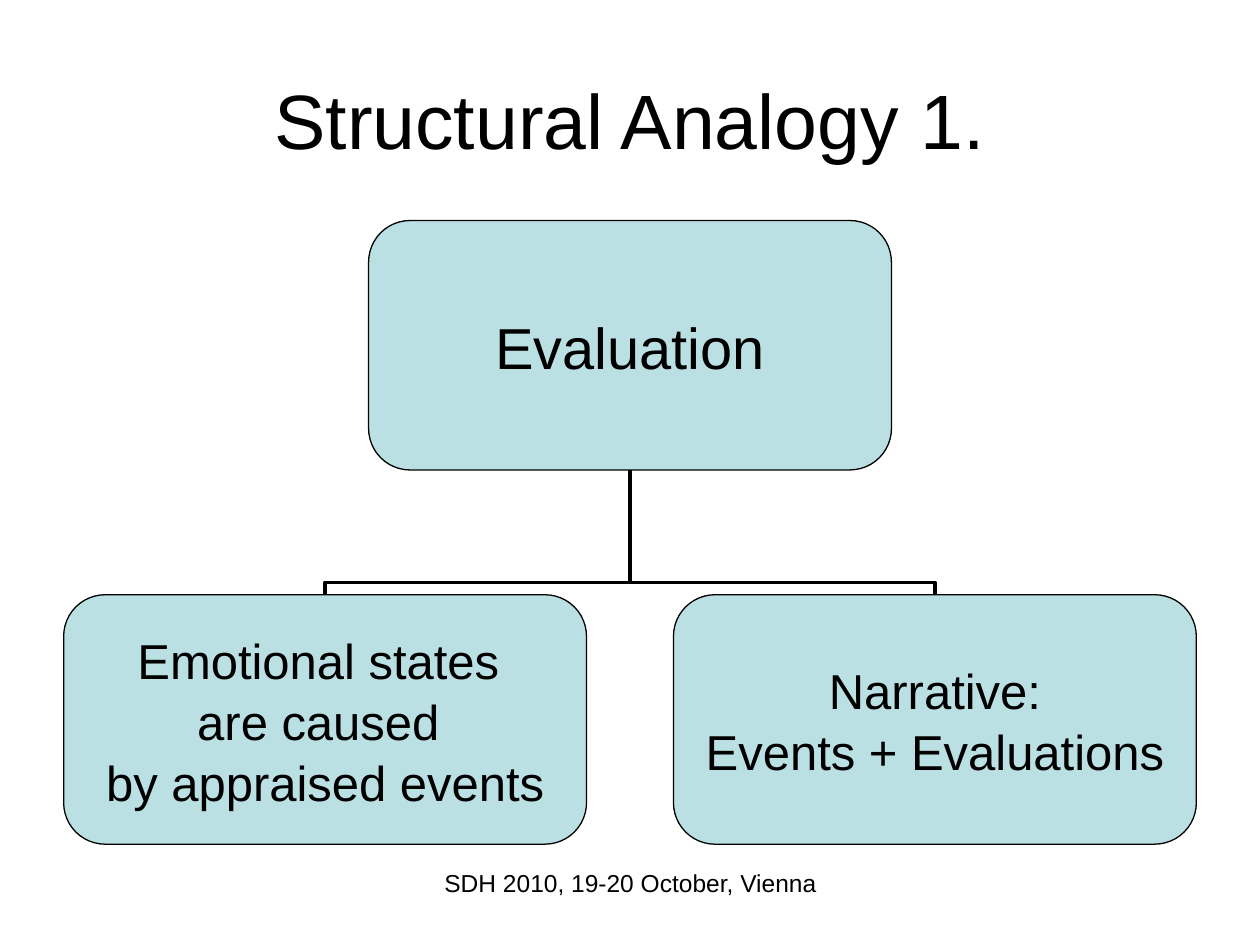
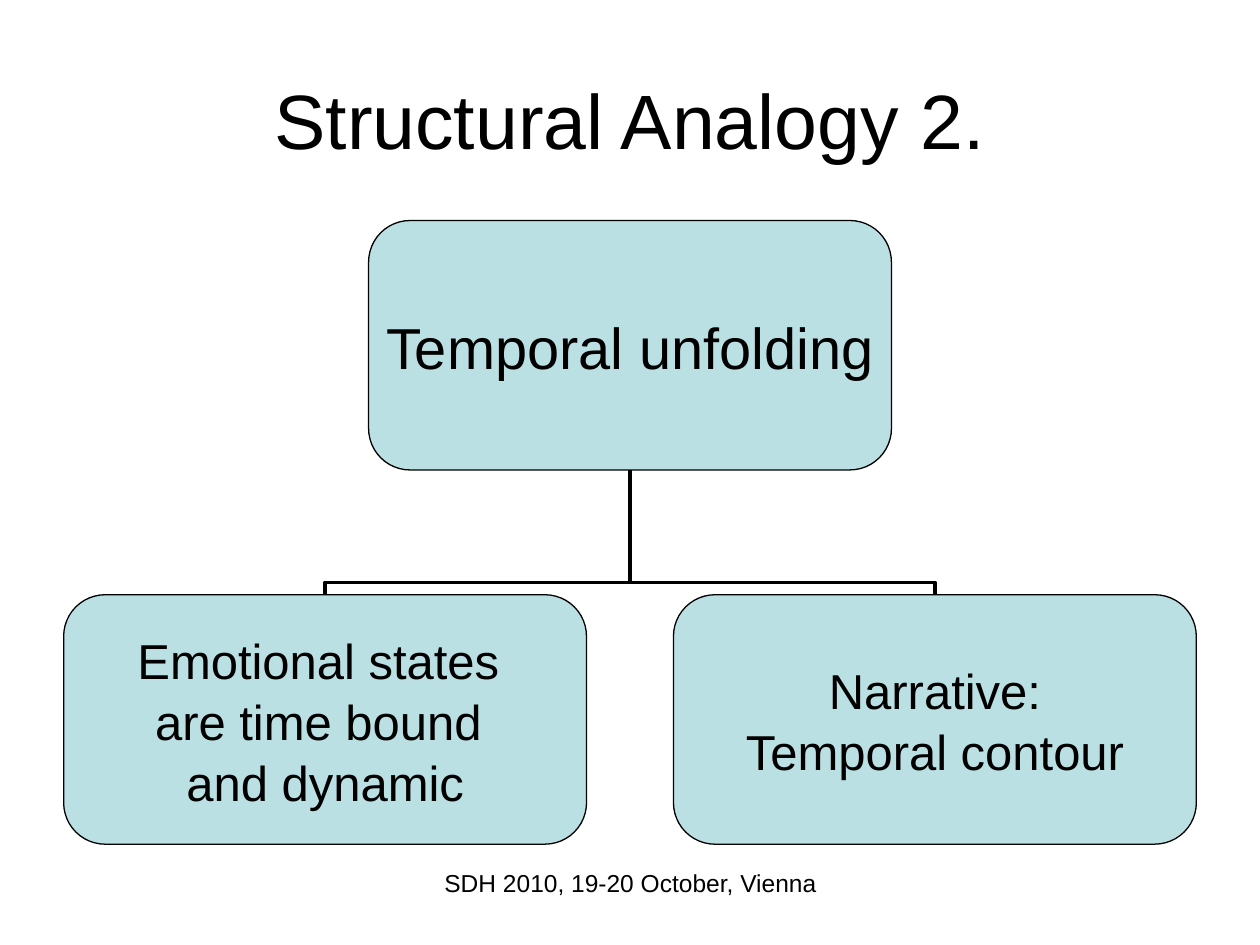
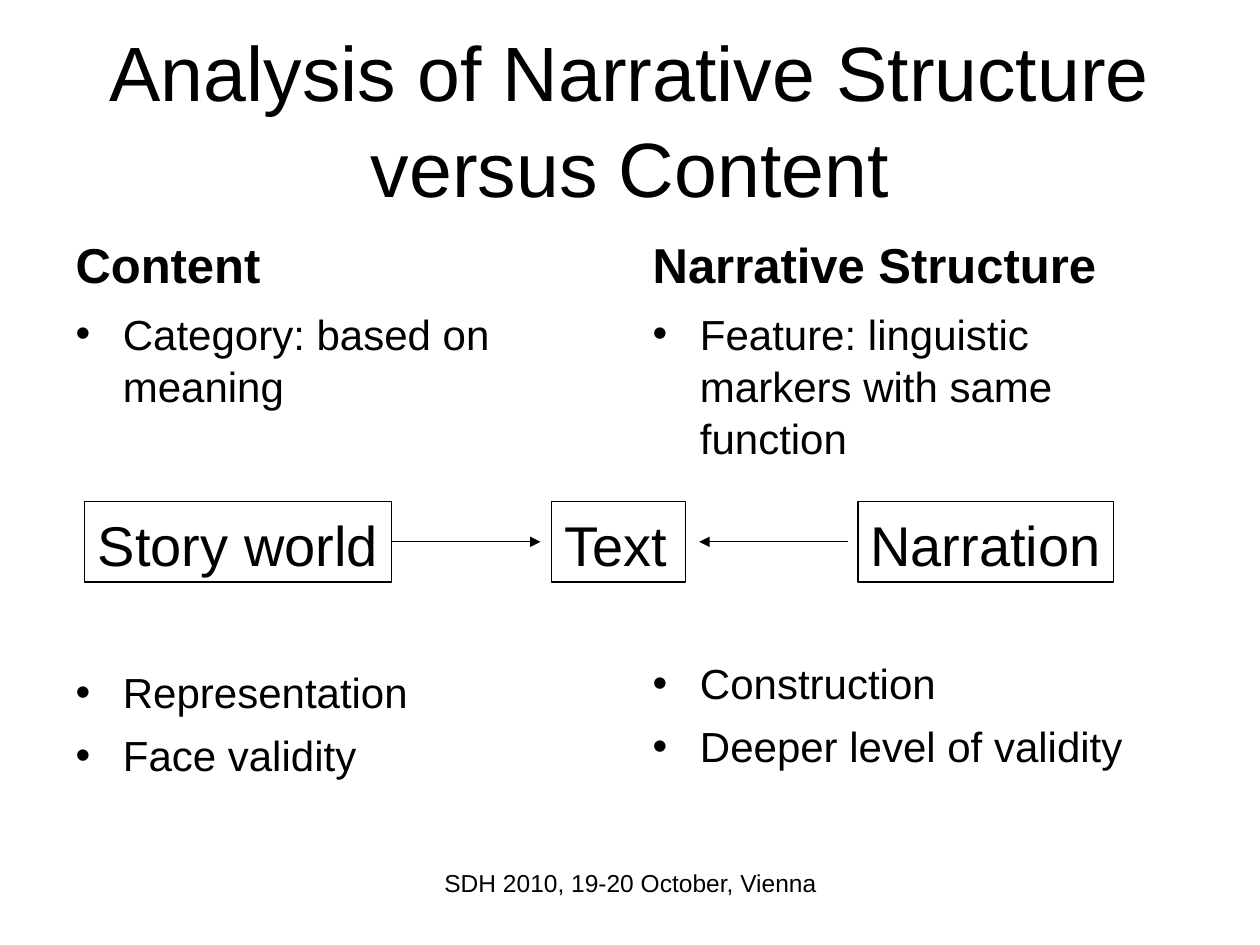
from dataclasses import dataclass
from lxml import etree
from pptx import Presentation
from pptx.dml.color import RGBColor
from pptx.enum.shapes import MSO_CONNECTOR, MSO_SHAPE
from pptx.enum.text import MSO_ANCHOR, MSO_AUTO_SIZE, PP_ALIGN
from pptx.oxml.ns import qn
from pptx.util import Inches, Pt

LEFT, MID = PP_ALIGN.LEFT, PP_ALIGN.CENTER
TOP, HALF, LOW = MSO_ANCHOR.TOP, MSO_ANCHOR.MIDDLE, MSO_ANCHOR.BOTTOM
ROUND, RECT = MSO_SHAPE.ROUNDED_RECTANGLE, MSO_SHAPE.RECTANGLE
ELBOW, LINE = MSO_CONNECTOR.ELBOW, MSO_CONNECTOR.STRAIGHT


@dataclass
class Theme:
    font: str = "Arial"
    ink: RGBColor = RGBColor(0x00, 0x00, 0x00)
    fill: RGBColor = RGBColor(0xBB, 0xE0, 0xE3)
    title: int = 44
    root: int = 33
    box: int = 32
    head: int = 28
    body: int = 24
    foot: int = 14
    lead: float = 1.04
    thin: float = 0.75
    thick: float = 2.25


theme = Theme()


def write(shape, text, size, place=None, bold=False, align=LEFT, anchor=TOP,
          pad=(0.1, 0.05), wrap=True, gaps=()):
    if place:
        shape.left, shape.top, shape.width, shape.height = map(Inches, place)
    frame = shape.text_frame
    frame.auto_size = MSO_AUTO_SIZE.NONE
    frame.word_wrap = wrap
    frame.vertical_anchor = anchor
    frame.margin_left = frame.margin_right = Inches(pad[0])
    frame.margin_top = frame.margin_bottom = Inches(pad[1])
    for i, row in enumerate(text.split("\n")):
        para = frame.paragraphs[0] if i == 0 else frame.add_paragraph()
        para.alignment = align
        para.line_spacing = theme.lead
        para.space_before = Pt(gaps[i] if gaps else 0)
        run = para.add_run()
        run.text = row
        run.font.name = theme.font
        run.font.size = Pt(size)
        run.font.bold = bold
        run.font.color.rgb = theme.ink


def link(slide, kind, start, end, width):
    wire = slide.shapes.add_connector(kind, *map(Inches, start + end))
    wire.line.color.rgb = theme.ink
    wire.line.width = Pt(width)
    etree.SubElement(wire._element.spPr, qn("a:effectLst"))
    return wire


deck = Presentation()
deck.slide_width, deck.slide_height = Inches(10), Inches(7.5)

pages = [
    ("Structural Analogy 1.", 5),
    ("Structural Analogy 2.", 5),
    ("Analysis of Narrative Structure versus Content", 4),
]
for title, layout in pages:
    slide = deck.slides.add_slide(deck.slide_layouts[layout])
    write(slide.shapes.title, title, theme.title, (0.5, 0.3, 9, 1.25),
          align=MID, anchor=HALF)
    foot = slide.shapes.add_textbox(0, 0, 0, 0)
    write(foot, "SDH 2010, 19-20 October, Vienna", theme.foot,
          (3.42, 6.83, 3.17, 0.52), align=MID)

trees = [
    ("Evaluation",
     "Emotional states \nare caused \nby appraised events",
     "Narrative:\nEvents + Evaluations"),
    ("Temporal unfolding",
     "Emotional states \nare time bound \nand dynamic",
     "Narrative:\nTemporal contour"),
]
wide, tall = 4.15, 1.98
spots = [(5, 1.75, theme.root), (2.58, 4.72, theme.head), (7.42, 4.72, theme.head)]
drop, reach = 0.99, 2.42
for slide, texts in zip(deck.slides, trees):
    for side in (1, -1):
        x, y = 5 + side * reach / 2, 3.73 + drop / 2
        dx, dy = side * drop / 2, reach / 2
        wire = link(slide, ELBOW, (x - dx, y + dy), (x + dx, y - dy), theme.thick)
        wire._element.spPr.find(qn("a:xfrm")).set("rot", str(5400000 * (2 + side)))
        bend = wire._element.spPr.find(qn("a:prstGeom")).get_or_add_avLst()
        etree.SubElement(bend, qn("a:gd"), name="adj1", fmla="val 9800")
    for text, (x, y, size) in zip(texts, spots):
        node = slide.shapes.add_shape(ROUND, 0, 0, 0, 0)
        node.shadow.inherit = False
        node.fill.solid()
        node.fill.fore_color.rgb = theme.fill
        node.line.color.rgb = theme.ink
        node.line.width = Pt(theme.thin)
        write(node, text, size, (x - wide / 2, y, wide, tall),
              align=MID, anchor=HALF, pad=(0, 0), wrap=False)

slide = deck.slides[2]
cols = [
    (0.5, 1, "Content",
     "Category: based on meaning\nRepresentation\nFace validity", 145),
    (5.08, 3, "Narrative Structure",
     "Feature: linguistic markers with same function\n"
     "Construction\nDeeper level of validity", 110),
]
for x, slot, head, body, gap in cols:
    write(slide.placeholders[slot], head, theme.head, (x, 1.68, 4.42, 0.7),
          bold=True, anchor=LOW)
    write(slide.placeholders[slot + 1], body, theme.body, (x, 2.38, 4.42, 4.32),
          gaps=(0, gap, 6))

cells = []
for text, x, width, align in [("Story world", 0.67, 2.44, MID),
                              ("Text", 4.38, 1.06, LEFT),
                              ("Narration", 6.81, 2.03, LEFT)]:
    cell = slide.shapes.add_shape(RECT, 0, 0, 0, 0)
    cell.shadow.inherit = False
    cell.fill.background()
    cell.line.color.rgb = theme.ink
    cell.line.width = Pt(theme.thin)
    write(cell, text, theme.box, (x, 3.98, width, 0.64), align=align, wrap=False)
    cells.append(cell)

for start, end in [(3.11, 4.29), (6.73, 5.55)]:
    wire = link(slide, LINE, (start, 4.3), (end, 4.3), theme.thin)
    etree.SubElement(wire.line._get_or_add_ln(), qn("a:tailEnd"), type="triangle")
    if start == 3.11:
        wire.begin_connect(cells[0], 3)

deck.save("out.pptx")
